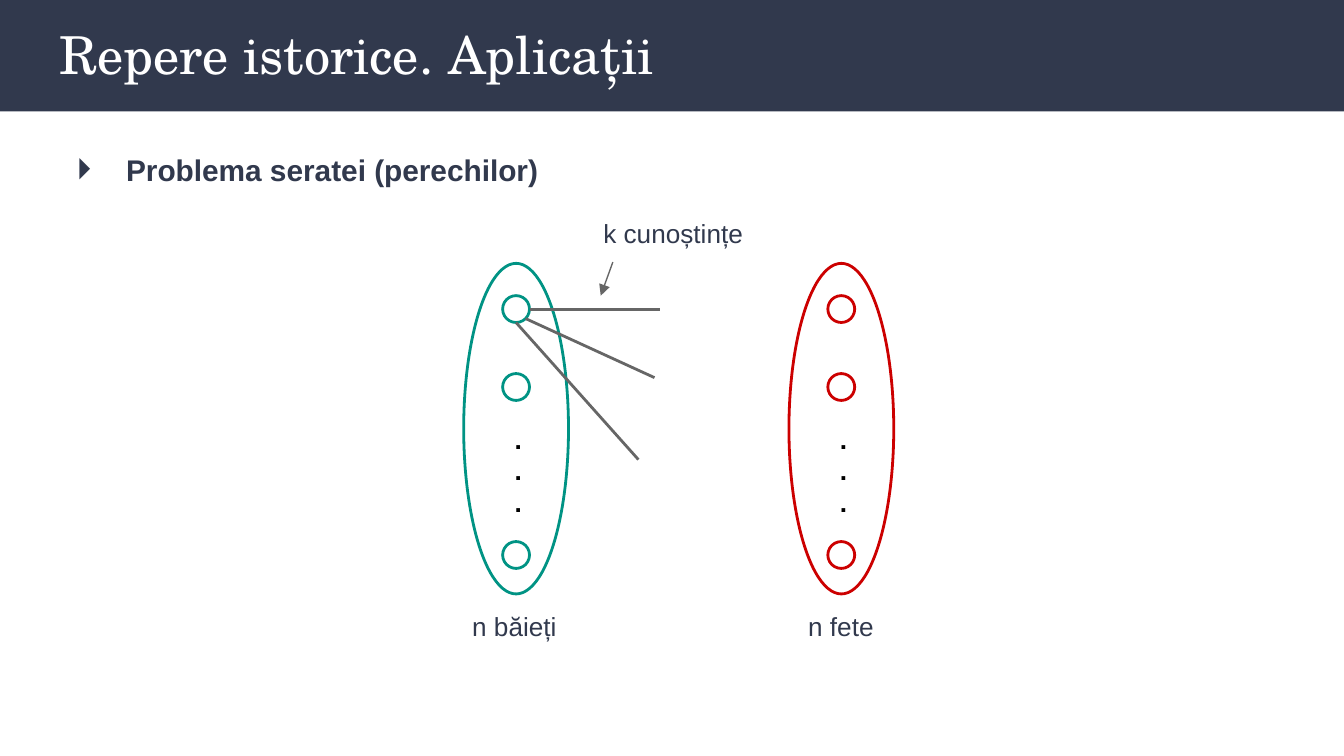
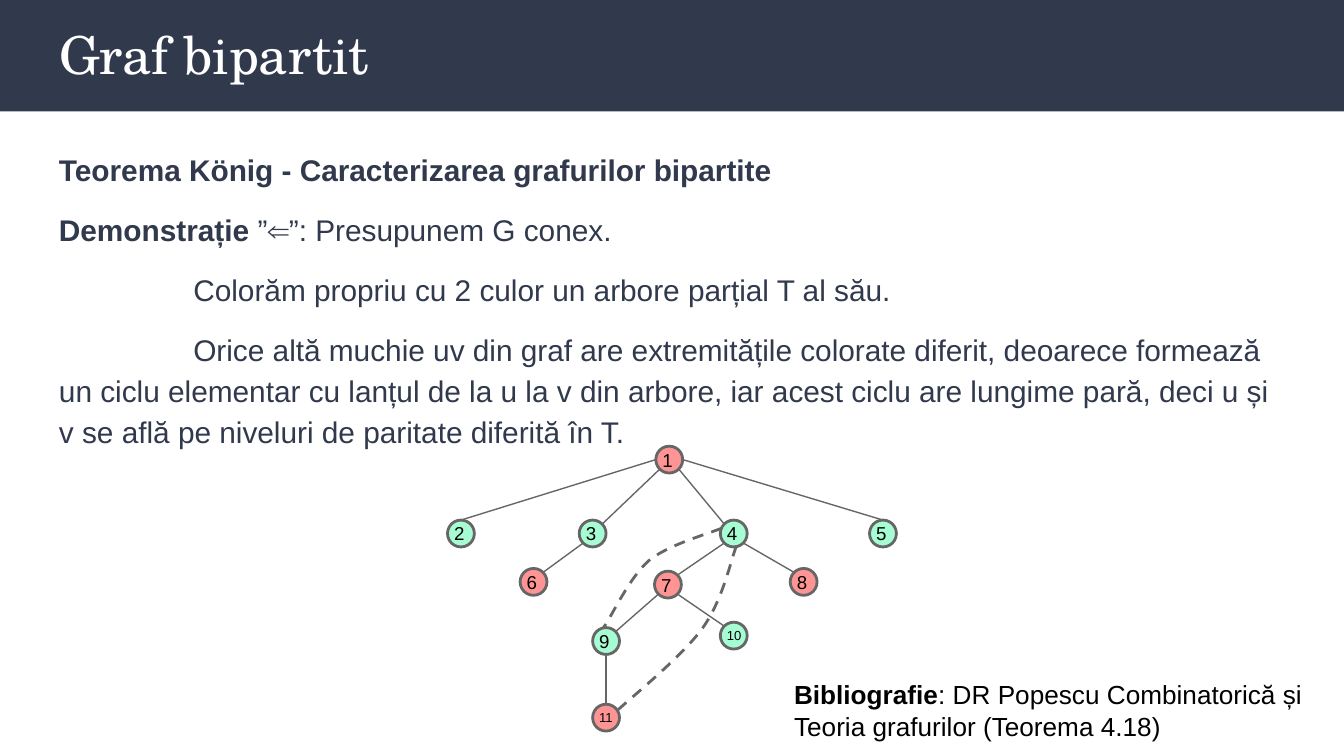
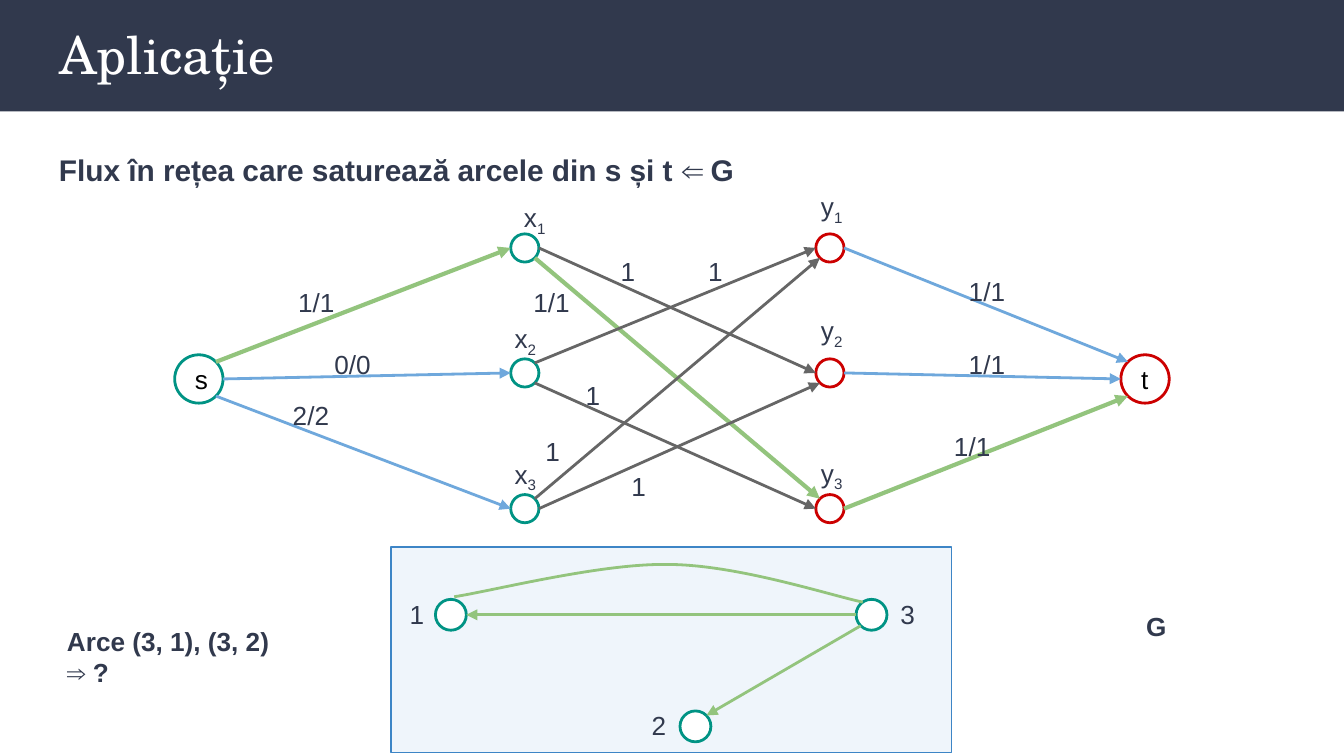
from dataclasses import dataclass
from math import hypot

from lxml import etree
from pptx import Presentation
from pptx.dml.color import RGBColor
from pptx.enum.dml import MSO_LINE
from pptx.enum.shapes import MSO_CONNECTOR, MSO_SHAPE
from pptx.enum.text import MSO_ANCHOR, MSO_AUTO_SIZE, PP_ALIGN
from pptx.oxml.ns import qn
from pptx.util import Pt

PX = 9144  # 100 px to the inch
WIDE = 1000
HIGH = WIDE * 9 / 16
OVAL, RECT = MSO_SHAPE.OVAL, MSO_SHAPE.RECTANGLE
LINE = MSO_CONNECTOR.STRAIGHT
DASH = MSO_LINE.DASH
LEFT = PP_ALIGN.LEFT
FIXED = MSO_AUTO_SIZE.NONE
TOP, MID = MSO_ANCHOR.TOP, MSO_ANCHOR.MIDDLE
PAD = (10, 10, 10, 10)
SNUG = (10, 10, 0, 10)
BODY = (34, 99, 932, 411)


@dataclass(frozen=True)
class Theme:
    navy: str = "31394D"
    white: str = "FFFFFF"
    black: str = "000000"
    teal: str = "009384"
    red: str = "CC0000"
    gray: str = "666666"
    green: str = "93C47D"
    blue: str = "6FA8DC"
    rose: str = "FF9494"
    mint: str = "A6FDD3"
    sky: str = "9FC5E8"
    edge: str = "3D85C6"
    head: str = "TeX Gyre Schola"
    font: str = "Arial"
    title: int = 28
    body: int = 16
    label: int = 14
    node: int = 10
    tiny: int = 7
    thin: float = 0.75
    line: float = 1.5
    bold: float = 2.25


T = Theme()


def emu(*sizes):
    return [round(size * PX) for size in sizes]


def rgb(color):
    return RGBColor.from_string(color)


def setup(frame, ins=PAD, anchor=TOP):
    frame.word_wrap = True
    frame.auto_size = FIXED
    frame.vertical_anchor = anchor
    (frame.margin_left, frame.margin_top,
     frame.margin_right, frame.margin_bottom) = emu(*ins)
    return frame


def write(frame, *runs, size=T.label, color=T.navy, font=T.font, bold=False,
          space=None, before=None, left=0, indent=0, mark=None):
    """Add one paragraph; a run is a string or (string, format dict)."""
    para = frame.paragraphs[0]
    if para.runs:
        para = frame.add_paragraph()
    para.alignment = LEFT
    para.line_spacing = space
    if before:
        para.space_before = Pt(before)
    props = para._p.get_or_add_pPr()
    props.set("marL", str(left * PX))
    props.set("indent", str(indent * PX))
    if mark:
        tint = etree.SubElement(props, qn("a:buClr"))
        etree.SubElement(tint, qn("a:srgbClr")).set("val", color)
        etree.SubElement(props, qn("a:buFont")).set("typeface", font)
        etree.SubElement(props, qn("a:buChar")).set("char", mark)
    else:
        etree.SubElement(props, qn("a:buNone"))
    for item in runs:
        words, form = (item, {}) if isinstance(item, str) else item
        run = para.add_run()
        run.text = words
        run.font.size = Pt(size)
        run.font.name = font
        run.font.bold = form.get("bold", bold)
        run.font.color.rgb = rgb(color)
        if "base" in form:
            run._r.get_or_add_rPr().set("baseline", str(form["base"] * 1000))


def frame_at(slide, box, ins=PAD):
    return setup(slide.shapes.add_textbox(*emu(*box)).text_frame, ins)


def label(slide, x, y, *runs, wide=52, **form):
    write(frame_at(slide, (x, y, wide, 44), SNUG), *runs, **form)


def paint(shape, fill=None, line=None, width=T.line):
    shape.shadow.inherit = False
    if fill:
        shape.fill.solid()
        shape.fill.fore_color.rgb = rgb(fill)
    else:
        shape.fill.background()
    if line:
        shape.line.color.rgb = rgb(line)
        shape.line.width = Pt(width)
    else:
        shape.line.fill.background()
    return shape


def draw(slide, kind, box, **look):
    return paint(slide.shapes.add_shape(kind, *emu(*box)), **look)


def ring(slide, x, y, size, color, fill=None, text="", ins=PAD, point=T.label):
    """Draw a graph node and return its centre and radius."""
    shape = draw(slide, OVAL, (x, y, size, size), fill=fill, line=color)
    if text:
        write(setup(shape.text_frame, ins, MID), text, size=point,
              color=T.black)
    return x + size / 2, y + size / 2, size / 2


def rim(node, way):
    """Point of a node's outline in a compass direction such as "ne"."""
    x, y, reach = node
    east = ("e" in way) - ("w" in way)
    south = ("s" in way) - ("n" in way)
    span = hypot(east, south)
    return x + reach * east / span, y + reach * south / span


def link(slide, start, end, color=T.gray, width=T.line, arrow=False):
    wire = slide.shapes.add_connector(LINE, *emu(*start, *end))
    wire.line.color.rgb = rgb(color)
    wire.line.width = Pt(width)
    if arrow:
        tip = etree.SubElement(wire.line._get_or_add_ln(), qn("a:tailEnd"))
        tip.set("type", "triangle")
    etree.SubElement(wire._element.spPr, qn("a:effectLst"))


def curve(slide, x, y, points, color, dash=None):
    """Draw Bezier arcs: a start, then two controls and an end for each."""
    first, *rest = [(x + a, y + b) for a, b in points]
    pen = slide.shapes.build_freeform(*first, scale=PX)
    pen.add_line_segments(rest, close=False)
    shape = paint(pen.convert_to_shape(), line=color)
    shape.line.dash_style = dash
    track = next(shape._element.iter(qn("a:path")))
    steps = track.findall(qn("a:lnTo"))
    for i in range(0, len(steps), 3):
        arc = etree.SubElement(track, qn("a:cubicBezTo"))
        for step in steps[i:i + 3]:
            arc.append(step[0])
            track.remove(step)


def page(deck, title):
    slide = deck.slides.add_slide(deck.slide_layouts[5])
    head = slide.shapes.title
    head.left, head.top, head.width, head.height = emu(34, 6, 932, 68)
    write(setup(head.text_frame, anchor=MID), title, size=T.title,
          color=T.white, font=T.head)
    return slide


def band(slide):
    """Draw the title band and hand it to the layout, behind everything."""
    bar = draw(slide, RECT, (0, 0, WIDE, 83), fill=T.navy)
    slide.slide_layout.shapes._spTree.insert(2, bar._element)


def side(slide, x, y, color, name, wide):
    """Draw one set of people and return its first node."""
    mid = x + 39
    nodes = [ring(slide, mid - 10, y + drop, 20, color)
             for drop in (24, 82, 207)]
    write(frame_at(slide, (mid - 11, y + 109, 22, 91)), "...",
          color=T.black, bold=True)
    draw(slide, OVAL, (x, y, 78, 246), line=color)
    label(slide, mid - wide / 2, y + 248, name, wide=wide)
    return nodes[0]


def pairs(slide, x, y):
    boy = side(slide, x, y, T.teal, "n băieți", 85)
    side(slide, x + 242, y, T.red, "n fete", 69)
    for way, across, down in (("e", 146, 34), ("se", 142, 85), ("s", 130, 146)):
        link(slide, rim(boy, way), (x + across, y + down))
    label(slide, x + 94, y - 44, "k cunoștințe", wide=129)
    link(slide, (x + 111, y - 1), (x + 102, y + 24), width=T.thin, arrow=True)


def tree(slide, x, y):
    spots = [(155, 0), (0, 55), (98, 55), (203, 55), (314, 55), (54, 91),
             (154, 93), (255, 91), (108, 135), (203, 131), (108, 192)]
    reds = (1, 6, 7, 8, 11)
    nodes = {}
    for num, (across, down) in enumerate(spots, 1):
        nodes[num] = ring(slide, x + across, y + down, 20, T.gray,
                          T.rose if num in reds else T.mint, str(num),
                          (2, 0, 0, 0), T.tiny if num > 9 else T.node)
    for top, out, low, into in (
            (1, "w", 2, "n"), (1, "e", 5, "n"), (1, "sw", 3, "ne"),
            (1, "se", 4, "nw"), (4, "sw", 7, "ne"), (3, "sw", 6, "ne"),
            (7, "sw", 9, "ne"), (4, "se", 8, "nw"), (7, "se", 10, "nw"),
            (9, "s", 11, "n")):
        link(slide, rim(nodes[top], out), rim(nodes[low], into), width=T.thin)
    for arc in (
            [(204, 61), (195, 65), (165, 73), (150, 85),
             (135, 98), (122, 127), (116, 135)],
            [(215, 74), (211, 84), (205, 114), (190, 135),
             (176, 155), (138, 186), (127, 196)]):
        curve(slide, x, y, arc, T.gray, DASH)


def flow(slide, x, y):
    nodes = {}
    for row, drop in enumerate((42, 135, 236), 1):
        nodes[f"x{row}"] = ring(slide, x + 250, y + drop, 21, T.teal)
        nodes[f"y{row}"] = ring(slide, x + 477, y + drop, 21, T.red)
    nodes["s"] = ring(slide, x, y + 132, 36, T.teal, text="s")
    nodes["t"] = ring(slide, x + 704, y + 132, 36, T.red, text="t")
    gray, blue, green = (T.gray, T.line), (T.blue, T.line), (T.green, T.bold)
    for tail, out, head, into, look in (
            ("x1", "e", "y2", "w", gray), ("x1", "se", "y3", "nw", green),
            ("x2", "ne", "y1", "w", gray), ("x2", "se", "y3", "w", gray),
            ("x3", "ne", "y1", "sw", gray), ("x3", "e", "y2", "sw", gray),
            ("s", "ne", "x1", "w", green), ("s", "e", "x2", "w", blue),
            ("s", "se", "x3", "w", blue), ("y1", "e", "t", "nw", blue),
            ("y2", "e", "t", "w", blue), ("y3", "e", "t", "sw", green)):
        link(slide, rim(nodes[tail], out), rim(nodes[head], into), *look,
             arrow=True)
    for text, across, down in (
            ("1/1", 82, 71), ("0/0", 109, 117), ("2/2", 78, 155),
            ("1/1", 581, 63), ("1/1", 581, 117), ("1/1", 570, 178),
            ("1", 322, 48), ("1/1", 257, 71), ("1", 387, 48),
            ("1", 266, 182), ("1", 330, 208), ("1", 296, 140)):
        label(slide, x + across, y + down, text, wide=47)
    for name, across, down in (
            ("x1", 250, 8), ("x2", 243, 98), ("x3", 243, 199),
            ("y1", 471, 0), ("y2", 471, 92), ("y3", 471, 198)):
        label(slide, x + across, y + down, name[0], (name[1], {"base": -25}))


def panel(slide, x, y, wide, high):
    back = draw(slide, RECT, (x, y, wide, high), fill=T.sky, line=T.edge,
                width=T.thin)
    tint = next(back._element.spPr.iter(qn("a:srgbClr")))
    etree.SubElement(tint, qn("a:alpha")).set("val", "16000")
    for text, across, down in (("1", 4, 28), ("2", 184, 111), ("3", 369, 28)):
        label(slide, x + across, y + down, text)
    one, two, three = [
        ring(slide, x + across, y + down, 23, T.teal, T.white)
        for across, down in ((33, 39), (215, 122), (346, 39))]
    curve(slide, x, y, [(47, 37), (74, 33), (156, 12), (206, 13),
                        (257, 13), (327, 36), (351, 41)], T.green)
    link(slide, rim(three, "w"), rim(one, "e"), T.green, arrow=True)
    link(slide, rim(three, "sw"), rim(two, "ne"), T.green, arrow=True)


def history(deck):
    slide = page(deck, "Repere istorice. Aplicații")
    band(slide)
    write(frame_at(slide, BODY), "Problema seratei (perechilor)", size=T.body,
          bold=True, space=1.15, left=50, indent=-37, mark="⏵")
    pairs(slide, 345, 196)


def theorem(deck):
    slide = page(deck, "Graf bipartit")
    frame = frame_at(slide, BODY)
    form = {"size": T.body, "space": 1.15}
    write(frame, "Teorema König - Caracterizarea grafurilor bipartite",
          bold=True, **form)
    form["before"] = 10
    write(frame, ("Demonstrație", {"bold": True}),
          " ”⇐”: Presupunem G conex.", **form)
    for text in (
            "Colorăm propriu cu 2 culor un arbore parțial T al său.",
            "Orice altă muchie uv din graf are extremitățile colorate diferit, "
            "deoarece formează un ciclu elementar cu lanțul de la u la v din "
            "arbore, iar acest ciclu are lungime pară, deci u și v se află pe "
            "niveluri de paritate diferită în T."):
        write(frame, text, indent=100, **form)
    tree(slide, 333, 332)
    write(frame_at(slide, (581, 495, 415, 67)),
          ("Bibliografie", {"bold": True}),
          ": DR Popescu Combinatorică și Teoria grafurilor (Teorema 4.18)",
          color=T.black)


def network(deck):
    slide = page(deck, "Aplicație")
    write(frame_at(slide, BODY),
          "Flux în rețea care saturează arcele din s și t ⇐ G",
          size=T.body, bold=True, space=1.15)
    flow(slide, 130, 132)
    panel(slide, 291, 407, 417, 153)
    label(slide, 843, 444, "G", bold=True)
    write(frame_at(slide, (40, 455, 180, 67)), "Arce (3, 1), (3, 2) ⇒ ?",
          bold=True)


def main():
    deck = Presentation()
    deck.slide_width, deck.slide_height = emu(WIDE, HIGH)
    for build in (history, theorem, network):
        build(deck)
    deck.save("out.pptx")


if __name__ == "__main__":
    main()
